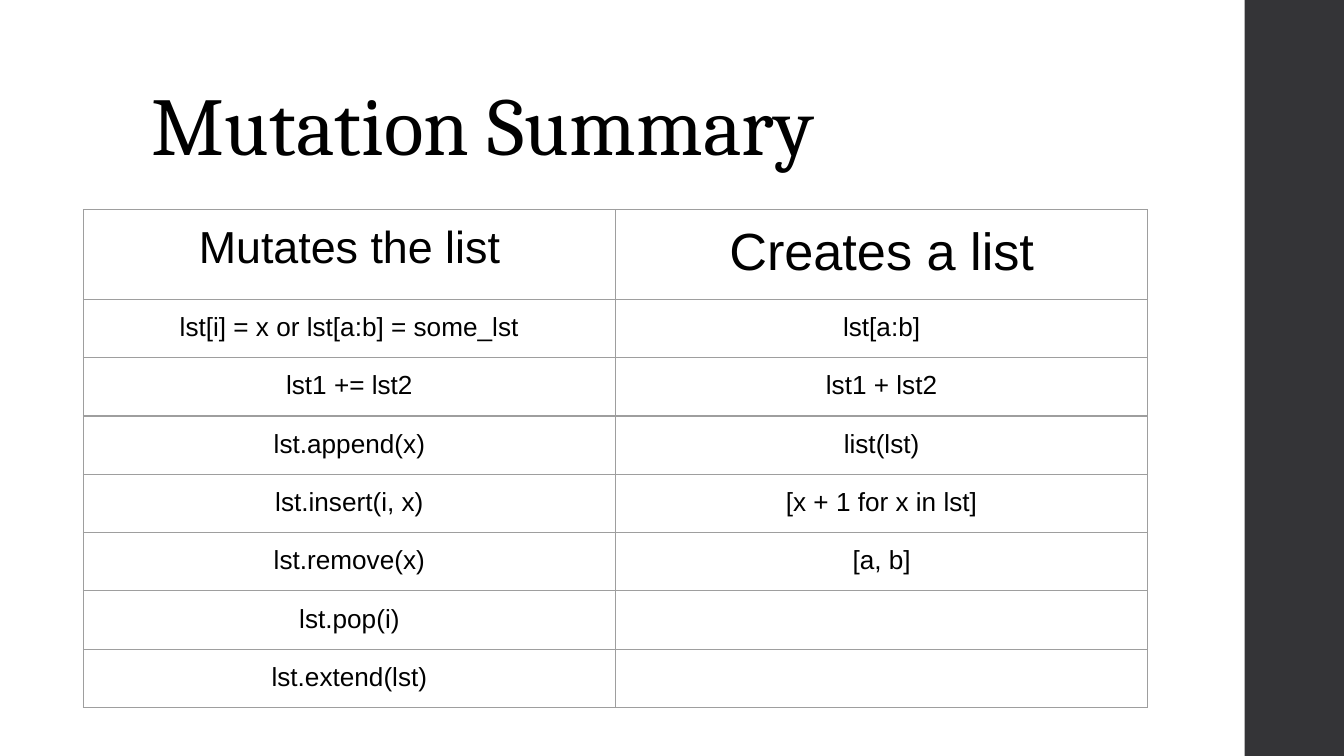
from lxml import etree
from pptx import Presentation
from pptx import util as u
from pptx.dml.color import RGBColor
from pptx.enum import shapes, text
from pptx.oxml import ns

WIDE = 10
HIGH = WIDE * 9 / 16
BLACK = RGBColor(0x00, 0x00, 0x00)
DARK = RGBColor(0x34, 0x34, 0x37)
GRAY = RGBColor(0x9E, 0x9E, 0x9E)
PAD = u.Inches(0.1)
COL = u.Inches(3.96)
ROW = u.Pt(30)

HEADS = [("Mutates the list", 24), ("Creates a list", 28)]
ROWS = [
    ("lst[i] = x or lst[a:b] = some_lst", "lst[a:b]"),
    ("lst1 += lst2", "lst1 + lst2"),
    ("lst.append(x)", "list(lst)"),
    ("lst.insert(i, x)", "[x + 1 for x in lst]"),
    ("lst.remove(x)", "[a, b]"),
    ("lst.pop(i)", ""),
    ("lst.extend(lst)", ""),
]


def write(frame, words, size=14, font="Arial", color=BLACK,
          align=text.PP_ALIGN.CENTER, space=None):
    """Put one formatted paragraph into a text frame."""
    para = frame.paragraphs[0]
    para.alignment = align
    para.line_spacing = space
    run = para.add_run()
    run.text = words
    run.font.size = u.Pt(size)
    run.font.name = font
    run.font.color.rgb = color


def pad(box):
    """Give a text frame or a cell equal margins."""
    box.margin_left = box.margin_right = PAD
    box.margin_top = box.margin_bottom = PAD


def edge(cell):
    """Draw a thin gray border on all four sides of a cell."""
    props = cell._tc.get_or_add_tcPr()
    for side in ("lnL", "lnR", "lnT", "lnB"):
        line = etree.SubElement(props, ns.qn("a:" + side), w=str(u.Pt(0.75)))
        fill = etree.SubElement(line, ns.qn("a:solidFill"))
        etree.SubElement(fill, ns.qn("a:srgbClr"), val=str(GRAY))


def add_bar(slide, box):
    bar = slide.shapes.add_shape(shapes.MSO_SHAPE.RECTANGLE, *map(u.Inches, box))
    bar.shadow.inherit = False
    bar.fill.solid()
    bar.fill.fore_color.rgb = DARK
    bar.line.fill.background()


def add_title(slide, box):
    frame = slide.shapes.add_textbox(*map(u.Inches, box)).text_frame
    frame.word_wrap = True
    frame.vertical_anchor = text.MSO_ANCHOR.BOTTOM
    pad(frame)
    write(frame, "Mutation Summary", size=44, font="Cambria",
          align=text.PP_ALIGN.LEFT, space=0.9)


def add_grid(slide, box):
    cells = [HEADS] + [[(words, 14) for words in row] for row in ROWS]
    shape = slide.shapes.add_table(len(cells), len(HEADS), *map(u.Inches, box))
    grid = shape.table
    grid.first_row = grid.horz_banding = False
    for col in grid.columns:
        col.width = COL
    for row in grid.rows:
        row.height = ROW
    # The frame keeps its nominal size; rows grow to fit their text
    shape.width, shape.height = map(u.Inches, box[2:])
    for r, row in enumerate(cells):
        for c, (words, size) in enumerate(row):
            cell = grid.cell(r, c)
            edge(cell)
            cell.fill.background()
            if words:
                pad(cell)
                write(cell.text_frame, words, size=size)


def main():
    deck = Presentation()
    deck.slide_width, deck.slide_height = u.Inches(WIDE), u.Inches(HIGH)
    slide = deck.slides.add_slide(deck.slide_layouts[6])

    # Side bar, heading and comparison table
    add_bar(slide, (0.926 * WIDE, 0, 0.075 * WIDE, HIGH))
    add_title(slide, (1.03, 0.3, 7.95, 1.09))
    add_grid(slide, (0.62, 1.56, 3.28, 3.28))

    deck.save("out.pptx")


if __name__ == "__main__":
    main()
